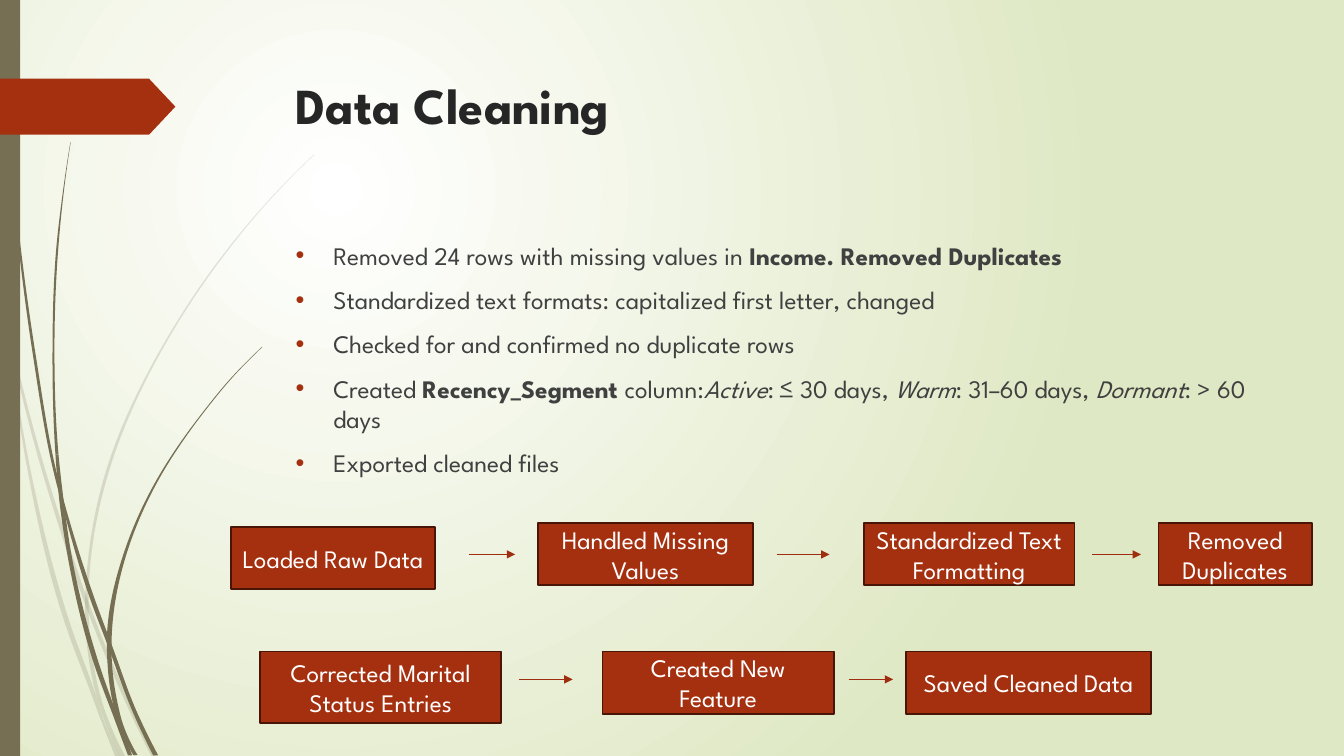
from pptx import Presentation
from pptx.dml.color import RGBColor
from pptx.enum.shapes import MSO_CONNECTOR, MSO_SHAPE
from pptx.enum.text import MSO_ANCHOR, PP_ALIGN
from pptx.oxml.ns import qn
from pptx.util import Pt
from lxml.etree import Element, SubElement

FONT = "League Spartan"
RUST, DARK_RUST, ARROW_RUST = "A53010", "481507", "9E2E0F"
OLIVE, PALE_GREEN, WHITE = "766F54", "DFE8C4", "FFFFFF"
TITLE_GREY, BODY_GREY = "262626", "404040"

# Grass stalks: joints (point numbers), then centre x, y and width going down
FAINT_STALKS = [
    ([1, 4], [(0, 209, 0), (9.4, 252, 1.5), (27.7, 324, 2.5), (43.2, 375, 2.9),
              (61.9, 430.5, 3), (90, 499, 3), (109.8, 540, 3.6)]),
    ([4], [(8, 252, 0.5), (21.2, 338, 2.2), (48.6, 446.4, 3.6),
           (66.6, 495.4, 3), (73, 514, 2), (84, 540, 3.6)]),
    ([5, 6, 8], [(224.6, 110.2, 0.4), (193, 142.2, 0.6), (164.5, 176, 1),
                 (114.5, 251, 1.4), (78.1, 332.3, 2.2), (62.3, 420.5, 2.2),
                 (62, 436, 2.6), (64.1, 465, 2.9), (74, 509, 2.9),
                 (87.5, 540, 3.6)]),
]
DARK_STALKS = [
    ([5, 8], [(2.5, 0, 0.6), (3.2, 34.6, 0.7), (5.4, 79.2, 0.8),
              (13, 167.4, 1.4), (24.8, 255.6, 2), (40, 340, 2), (45.5, 361, 2),
              (65.2, 425.5, 3.2), (79.2, 463, 3), (96.5, 509, 3),
              (111.2, 539.5, 3.6)]),
    ([4, 5, 8], [(50.4, 101.5, 0.2), (45, 139, 0.7), (41, 176.4, 1.4),
                 (38.2, 251.3, 1.4), (40.7, 324.7, 2.2), (43.4, 353, 3),
                 (50.4, 400.7, 2.9), (68.8, 473.8, 3.6), (83, 513, 3),
                 (92.9, 539.5, 3)]),
    ([5, 6, 8], [(187.4, 247.7, 0.4), (166.3, 269, 0.7), (147.2, 292, 0.8),
                 (113, 342, 1.4), (88.9, 397, 2.2), (78.1, 455, 3.4),
                 (78.3, 472, 3.2), (82.4, 502.6, 3.4), (86.5, 518, 3.2),
                 (96.8, 539.5, 3)]),
]

# Each bullet is a list of (text, style); b is bold, i is italic
BULLETS = [
    [("Removed 24 rows with missing values in ", ""),
     ("Income. Removed Duplicates", "b")],
    [("Standardized text formats: capitalized first letter, changed", "")],
    [("Checked for and confirmed no duplicate rows", "")],
    [("Created ", ""), ("Recency_Segment ", "b"), ("column:", ""),
     ("Active", "i"), (": ≤ 30 days,", ""), (" Warm", "i"),
     (": 31–60 days,", ""), (" Dormant", "i"), (": > 60 days", "")],
    [("Exported cleaned files", "")],
]

# Steps: text, left, top, width, height
STEPS = [
    ("Loaded Raw Data", 165, 376.4, 145.5, 44.6),
    ("Handled Missing Values", 384.3, 373.5, 153.5, 44.6),
    ("Standardized Text Formatting", 617, 373.5, 150.5, 44.6),
    ("Removed Duplicates", 827.5, 373.5, 109.5, 44.6),
    ("Corrected Marital Status Entries", 186, 465.3, 172, 51.2),
    ("Created New Feature", 430.3, 465.3, 165.5, 44.6),
    ("Saved Cleaned Data", 647.2, 465.3, 175, 44.6),
]
# Arrows: start x, end x, y
ARROWS = [(334.8, 368, 396), (555, 592.5, 396), (779.8, 815, 396),
          (370.8, 409, 485.3), (606.2, 638, 485.3)]


def color(code):
    return RGBColor.from_string(code)


def paint(shape, fill, line=None, width=1.25):
    shape.shadow.inherit = False
    shape.fill.solid()
    shape.fill.fore_color.rgb = color(fill)
    if line:
        shape.line.color.rgb = color(line)
        shape.line.width = Pt(width)
    else:
        shape.line.fill.background()


def add_span(para, text, size, code, style=""):
    span = para.add_run()
    span.text = text
    font = span.font
    font.name, font.size = FONT, Pt(size)
    font.color.rgb = color(code)
    font.bold, font.italic = "b" in style, "i" in style


def set_background(page):
    fill = page.background.fill
    fill.gradient()
    for stop, code in zip(fill.gradient_stops, (WHITE, PALE_GREEN)):
        stop.color.rgb = color(code)
    gradient = page.element.find(".//" + qn("a:gradFill"))
    gradient.remove(gradient.find(qn("a:lin")))
    circle = SubElement(gradient, qn("a:path"), {"path": "circle"})
    SubElement(circle, qn("a:fillToRect"),
               {"l": "50000", "t": "50000", "r": "100000", "b": "100000"})


def curve_edge(edge):
    """Bezier pieces (start, control, control, end) down a stalk's edge."""
    gaps = [(b[1] - a[1], (b[0] - a[0]) / (b[1] - a[1]))
            for a, b in zip(edge, edge[1:])]
    inner = [(d * k + e * h) / (h + k) for (h, d), (k, e) in zip(gaps, gaps[1:])]
    slopes = [2 * gaps[0][1] - inner[0], *inner, 2 * gaps[-1][1] - inner[-1]]
    return [(a, (a[0] + m * h / 3, a[1] + h / 3),
             (b[0] - n * h / 3, b[1] - h / 3), b)
            for a, b, (h, _), m, n in zip(edge, edge[1:], gaps, slopes, slopes[1:])]


def add_blade(page, left, right, alpha):
    """One curved piece of a stalk: down its left edge, up its right edge."""
    across = (left[-1][3], None, None, right[-1][3])
    pieces = left + [across] + [piece[::-1] for piece in right[::-1]]
    builder = page.shapes.build_freeform(*map(Pt, left[0][0]))
    builder.add_line_segments([tuple(map(Pt, p[3])) for p in pieces], close=True)
    blade = builder.convert_to_shape()
    paint(blade, OLIVE)
    for line, piece in zip(list(blade.element.iter(qn("a:lnTo"))), pieces):
        if piece[1]:
            curve = Element(qn("a:cubicBezTo"))
            for x, y in piece[1:]:
                SubElement(curve, qn("a:pt"), {"x": str(Pt(x) - blade.left),
                                               "y": str(Pt(y) - blade.top)})
            line.getparent().replace(line, curve)
    if alpha < 100:
        tint = blade.element.spPr.find(".//" + qn("a:srgbClr"))
        SubElement(tint, qn("a:alpha"), {"val": str(alpha * 1000)})


def add_stalk(page, joints, points, alpha=100):
    left = curve_edge([(x - w / 2, y) for x, y, w in points])
    right = curve_edge([(x + w / 2, y) for x, y, w in points])
    for start, end in zip([0, *joints], [*joints, len(left)]):
        add_blade(page, left[start:end], right[start:end], alpha)


def add_block(page, kind, left, top, width, height, fill, line=None):
    block = page.shapes.add_shape(kind, Pt(left), Pt(top), Pt(width), Pt(height))
    paint(block, fill, line)
    return block


def add_text_box(page, left, top, width, height):
    box = page.shapes.add_textbox(Pt(left), Pt(top), Pt(width), Pt(height))
    box.text_frame.word_wrap = True
    return box.text_frame


def add_bullets(page):
    frame = add_text_box(page, 204, 168, 702, 297.4)
    for index, spans in enumerate(BULLETS):
        para = frame.add_paragraph() if index else frame.paragraphs[0]
        para.space_before = Pt(10)
        props = para._p.get_or_add_pPr()
        props.set("marL", str(Pt(27)))
        props.set("indent", str(Pt(-27)))
        SubElement(SubElement(props, qn("a:buClr")), qn("a:srgbClr"), {"val": RUST})
        SubElement(props, qn("a:buFont"), {"typeface": "Arial"})
        SubElement(props, qn("a:buChar"), {"char": "•"})
        for text, style in spans:
            add_span(para, text, 18, BODY_GREY, style)


def add_step(page, text, *place):
    frame = add_block(page, MSO_SHAPE.RECTANGLE, *place, RUST, DARK_RUST).text_frame
    frame.word_wrap = True
    frame.vertical_anchor = MSO_ANCHOR.MIDDLE
    para = frame.paragraphs[0]
    para.alignment = PP_ALIGN.CENTER
    add_span(para, text, 18, WHITE)


def add_arrow(page, start, end, y):
    arrow = page.shapes.add_connector(MSO_CONNECTOR.STRAIGHT,
                                      Pt(start), Pt(y), Pt(end), Pt(y))
    arrow.line.color.rgb = color(ARROW_RUST)
    arrow.line.width = Pt(0.75)
    properties = arrow._element.spPr
    SubElement(properties.find(qn("a:ln")), qn("a:tailEnd"), {"type": "triangle"})
    SubElement(properties, qn("a:effectLst"))


def main():
    deck = Presentation()
    deck.slide_width, deck.slide_height = Pt(960), Pt(540)
    page = deck.slides.add_slide(deck.slide_layouts[6])

    # Backdrop: gradient, grass, side bar and tab
    set_background(page)
    for joints, points in FAINT_STALKS:
        add_stalk(page, joints, points, alpha=20)
    for joints, points in DARK_STALKS:
        add_stalk(page, joints, points)
    add_block(page, MSO_SHAPE.RECTANGLE, 0, 0, 14.4, 540, OLIVE)
    tab = add_block(page, MSO_SHAPE.PENTAGON, 0, 56.2, 125.3, 40, RUST)
    tab.adjustments[0] = 0.47

    # Title and bullets
    title = add_text_box(page, 204, 49.5, 702, 100.8)
    add_span(title.paragraphs[0], "Data Cleaning", 36, TITLE_GREY, "b")
    add_bullets(page)

    # Cleaning steps
    for step in STEPS:
        add_step(page, *step)
    for arrow in ARROWS:
        add_arrow(page, *arrow)

    deck.save("out.pptx")


if __name__ == "__main__":
    main()
